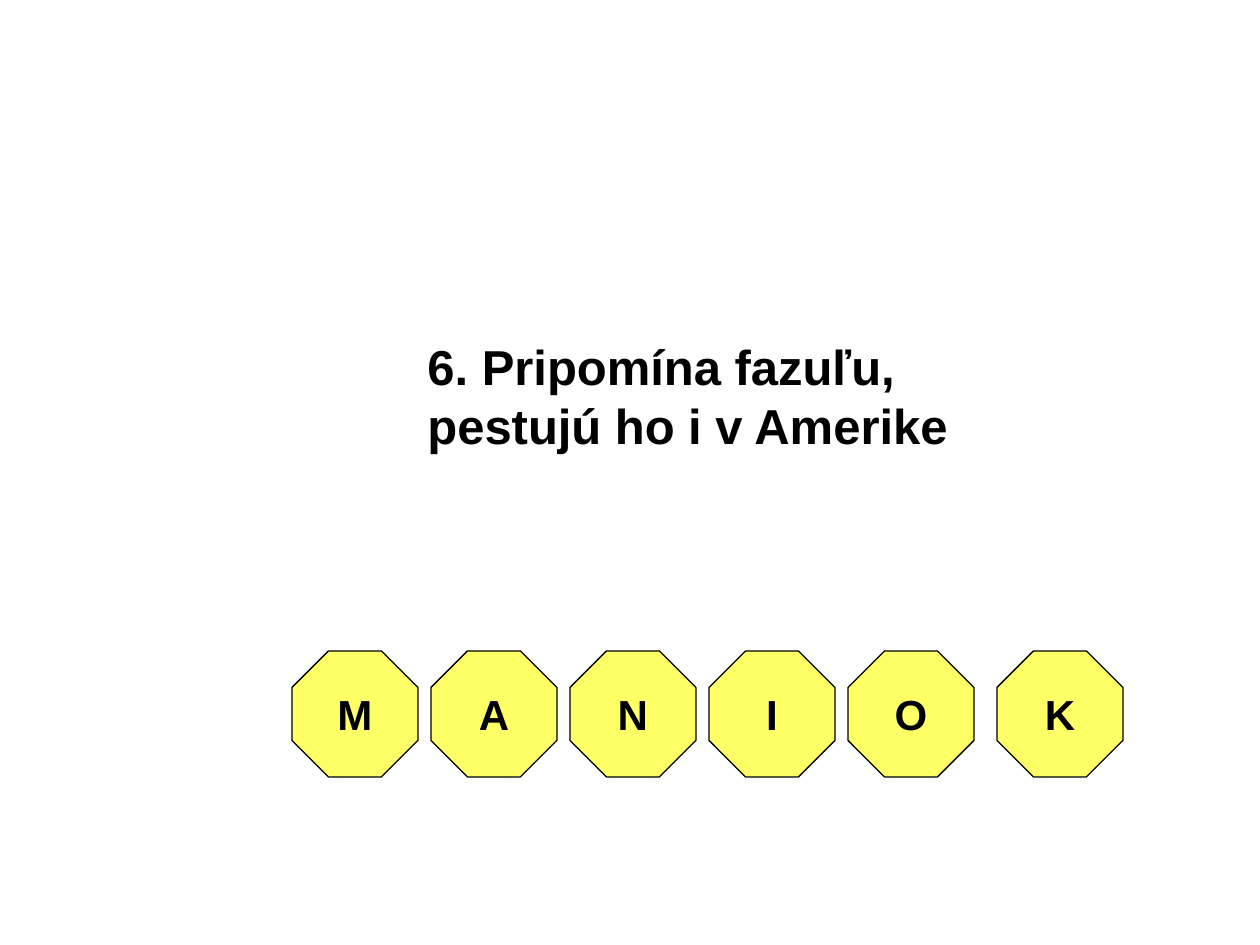
from pptx import Presentation
from pptx.dml.color import RGBColor
from pptx.enum.shapes import MSO_SHAPE as Shape
from pptx.enum.text import MSO_ANCHOR as Anchor, PP_ALIGN as Align
from pptx.util import Inches, Pt

PX = Inches(1) / 126
BLACK, YELLOW = "000000", "FFFF66"
ANSWER = "MANIOK"
TILE, PITCH = 126, 139
ROW_LEFT, ROW_TOP = 292, 651
LAST_GAP = 10  # the last letter stands slightly apart


def px(length):
    return round(length * PX)


def color(value):
    return RGBColor.from_string(value)


def write(frame, text, size, align, wrap):
    frame.word_wrap = wrap
    frame.vertical_anchor = Anchor.MIDDLE
    paragraph = frame.paragraphs[0]
    paragraph.alignment = align
    run = paragraph.add_run()
    run.text = text
    style = {"name": "Arial", "size": Pt(size), "bold": True}
    for attribute, value in style.items():
        setattr(run.font, attribute, value)
    run.font.color.rgb = color(BLACK)


def add_clue(slide, text):
    clue = slide.shapes.add_textbox(px(415), px(294), px(588), px(203))
    write(clue.text_frame, text, 28, Align.LEFT, True)


def add_letter(slide, letter, left):
    tile = slide.shapes.add_shape(
        Shape.OCTAGON, px(left), px(ROW_TOP), px(TILE), px(TILE))
    tile.adjustments[0] = 0.29
    tile.shadow.inherit = False
    tile.fill.solid()
    tile.fill.fore_color.rgb = color(YELLOW)
    tile.line.color.rgb = color(BLACK)
    tile.line.width = Pt(0.75)
    write(tile.text_frame, letter, 24, Align.CENTER, False)


def main():
    deck = Presentation()
    deck.slide_width, deck.slide_height = Inches(10), Inches(7.5)
    slide = deck.slides.add_slide(deck.slide_layouts[6])

    # Clue
    add_clue(slide, "6. Pripomína fazuľu, pestujú ho i v Amerike")

    # Answer, one letter per tile
    for index, letter in enumerate(ANSWER):
        gap = LAST_GAP if index == len(ANSWER) - 1 else 0
        add_letter(slide, letter, ROW_LEFT + index * PITCH + gap)

    deck.save("out.pptx")


if __name__ == "__main__":
    main()
